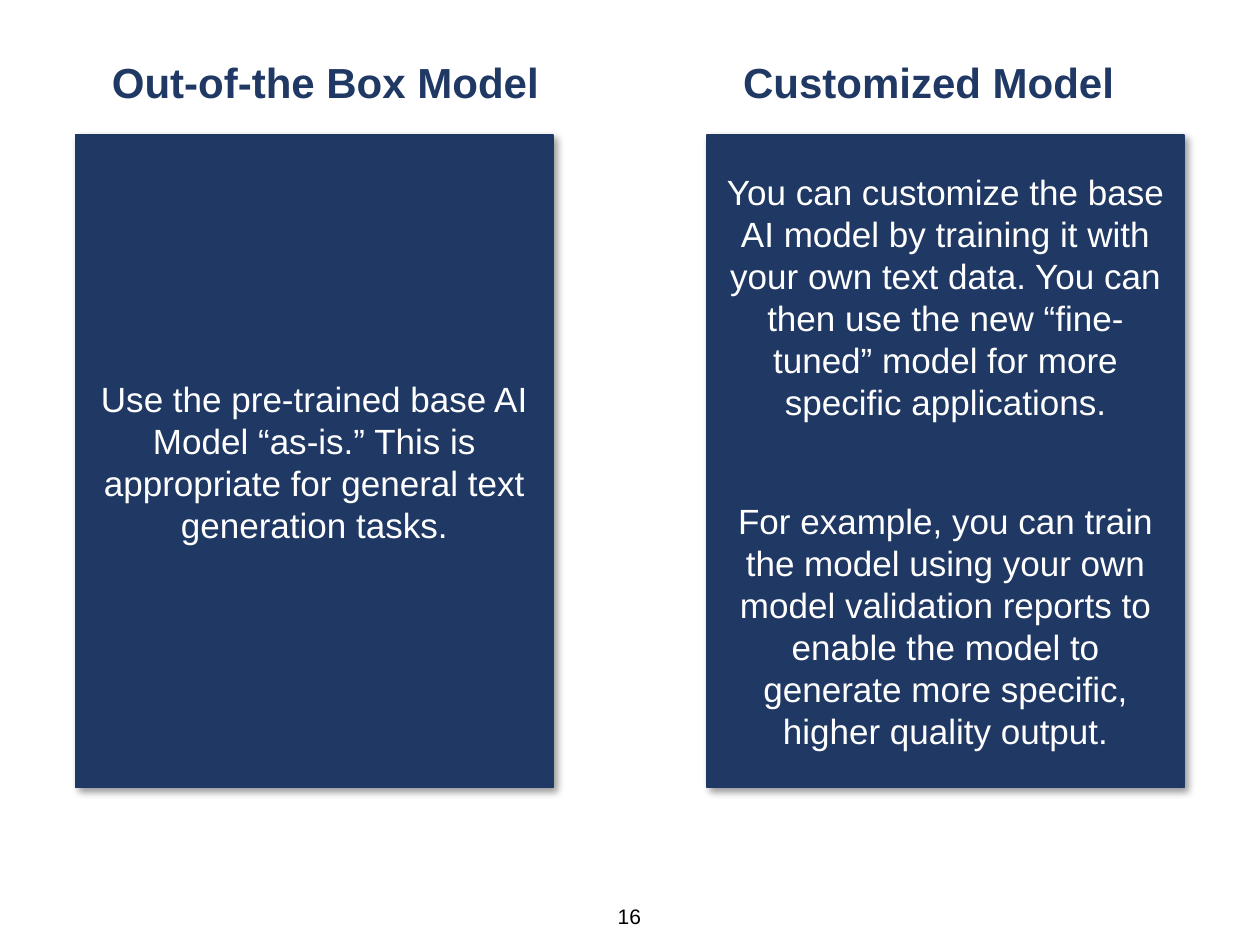
from lxml import etree
from pptx import Presentation
from pptx.dml.color import RGBColor
from pptx.enum import shapes, text
from pptx.oxml import ns
from pptx.util import Inches, Pt

COLORS = {"navy": "203864", "white": "FFFFFF", "black": "000000"}
FONT = "Arial"
MODELS = [
    (0.6, "Out-of-the Box Model", [
        "Use the pre-trained base AI Model “as-is.” This is appropriate for "
        "general text generation tasks.",
    ]),
    (5.61, "Customized Model", [
        "You can customize the base AI model by training it with your own text "
        "data. You can then use the new “fine-tuned” model for more specific "
        "applications.",
        "For example, you can train the model using your own model validation "
        "reports to enable the model to generate more specific, higher quality "
        "output.",
    ]),
]


def color(name):
    """Return the named colour."""
    return RGBColor.from_string(COLORS[name])


def write(frame, paragraphs, size, ink, align, bold=False, gap=0):
    """Fill a text frame with evenly formatted paragraphs."""
    frame.word_wrap = True
    frame.text = "\n".join(paragraphs)
    for index, para in enumerate(frame.paragraphs):
        para.alignment = align
        para.space_before = Pt(gap if index else 0)
        for span in para.runs:
            span.font.name = FONT
            span.font.size = Pt(size)
            span.font.bold = bold
            span.font.color.rgb = color(ink)


def add_shadow(shape):
    """Give a shape a soft shadow to the lower right."""
    shape.shadow.inherit = False
    effects = shape._element.spPr.find(ns.qn("a:effectLst"))
    shadow = etree.SubElement(
        effects, ns.qn("a:outerShdw"), blurRad=str(Pt(4)), dist=str(Pt(3)),
        dir=str(45 * 60000), algn="tl", rotWithShape="0")
    tint = etree.SubElement(shadow, ns.qn("a:srgbClr"), val=COLORS["black"])
    etree.SubElement(tint, ns.qn("a:alpha"), val="40000")


def add_heading(page, title, left, top, width, height):
    """Place a column heading in the given box."""
    box = page.shapes.add_textbox(left, top, width, height)
    write(box.text_frame, [title], 24, "navy", text.PP_ALIGN.LEFT, bold=True)


def add_panel(page, paragraphs, left, top, width, height):
    """Place a shadowed text panel in the given box."""
    panel = page.shapes.add_shape(
        shapes.MSO_SHAPE.RECTANGLE, left, top, width, height)
    panel.fill.solid()
    panel.fill.fore_color.rgb = color("navy")
    panel.line.color.rgb = color("navy")
    panel.line.width = Pt(1)
    add_shadow(panel)
    panel.text_frame.vertical_anchor = text.MSO_ANCHOR.MIDDLE
    write(panel.text_frame, paragraphs, 20, "white", text.PP_ALIGN.CENTER, gap=44)


def add_page_number(page, number, left, top, width, height):
    """Place the page number in the given box."""
    box = page.shapes.add_textbox(left, top, width, height)
    frame = box.text_frame
    frame.margin_left = frame.margin_right = 0
    frame.margin_top = frame.margin_bottom = 0
    write(frame, [number], 12, "black", text.PP_ALIGN.CENTER)


def main():
    """Build the model comparison slide."""
    deck = Presentation()
    deck.slide_width, deck.slide_height = Inches(10), Inches(7.5)
    page = deck.slides.add_slide(deck.slide_layouts[6])
    for left, title, paragraphs in MODELS:
        add_heading(page, title, Inches(left + 0.19), Inches(0.4),
                    Inches(3.7), Inches(0.5))
        add_panel(page, paragraphs, Inches(left), Inches(1.07),
                  Inches(3.79), Inches(5.18))
    add_page_number(page, "16", Inches(4.83), Inches(7.17),
                    Inches(0.33), Inches(0.2))
    deck.save("out.pptx")


if __name__ == "__main__":
    main()
